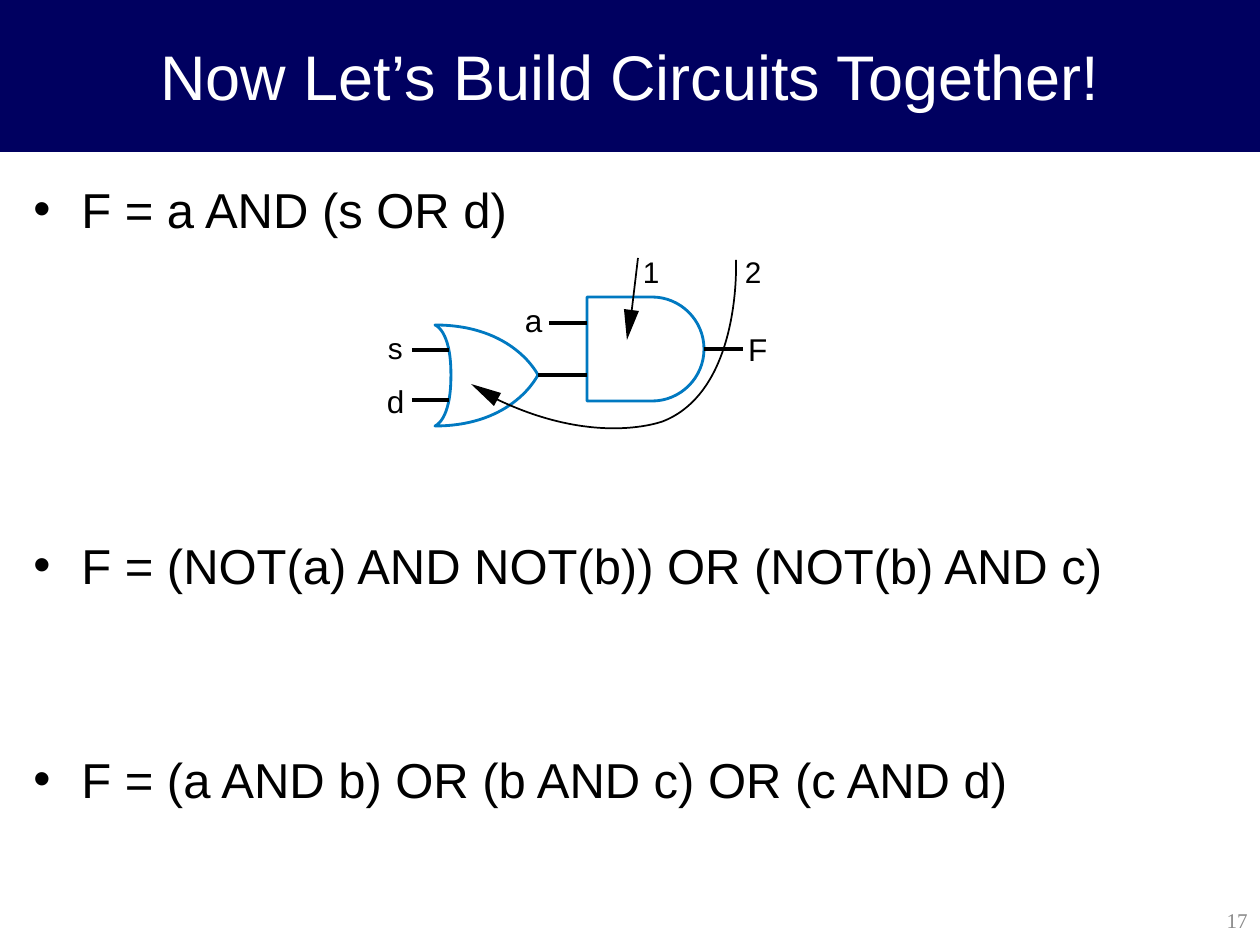
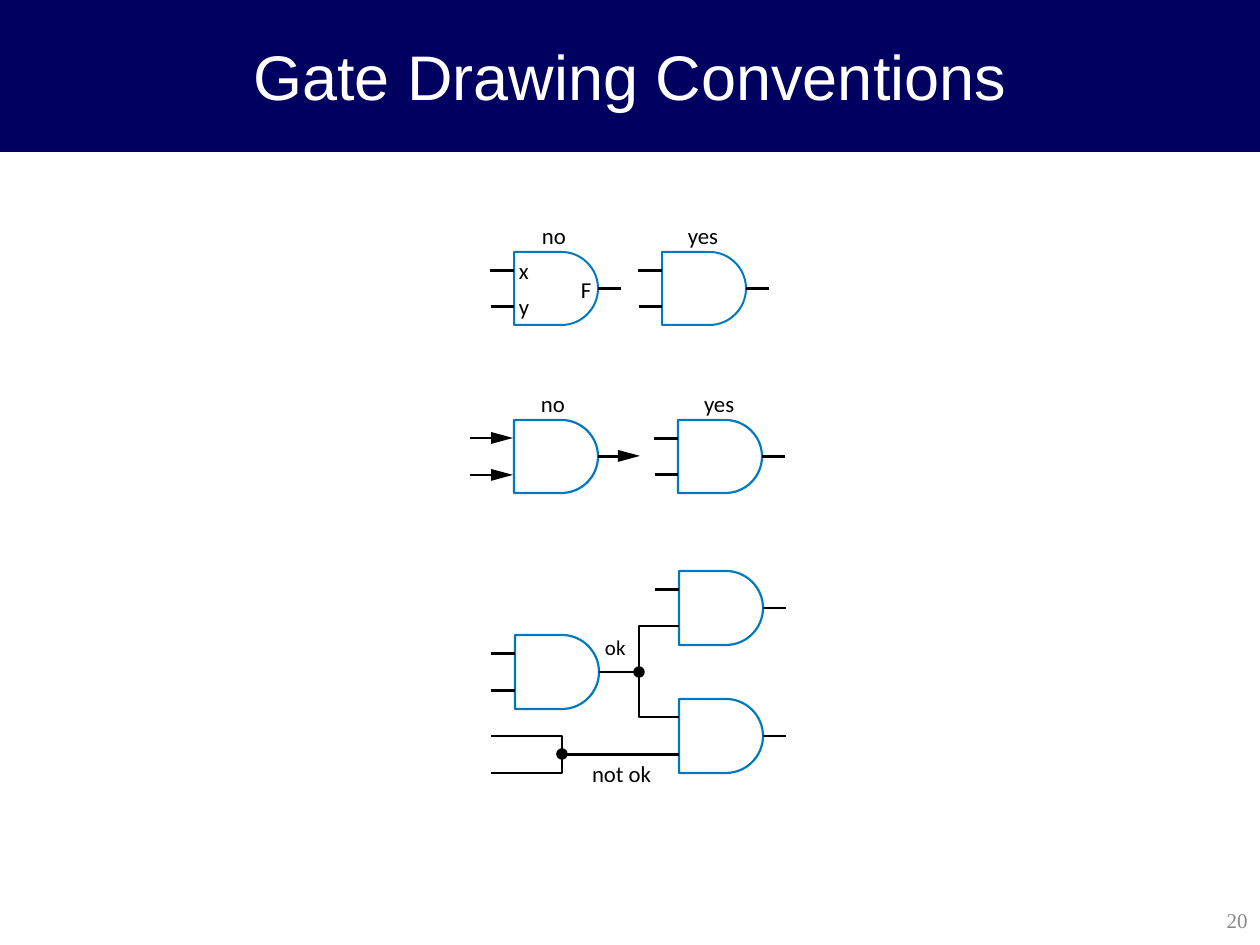
from dataclasses import dataclass

from lxml import etree
from pptx import Presentation
from pptx.dml.color import RGBColor as RGB
from pptx.enum.shapes import MSO_CONNECTOR as CONN, MSO_SHAPE as SHAPE
from pptx.enum.text import MSO_ANCHOR as ANCHOR, MSO_AUTO_SIZE as AUTO, PP_ALIGN as ALIGN
from pptx.oxml.ns import qn
from pptx.util import Pt

PX = 914400 / 126  # EMU per px


@dataclass(frozen=True)
class Theme:
    navy = RGB.from_string("000060")
    blue = RGB.from_string("0079C1")
    black = RGB.from_string("000000")
    white = RGB.from_string("FFFFFF")
    grey = RGB.from_string("898989")
    # type styles: font, size, colour
    title = ("Arial", 36, white)
    body = ("Arial", 28, black)
    number = ("Times New Roman", 12, grey)
    signal = ("Arial", 18, black)
    signal_small = ("Arial", 17, black)
    note = ("Calibri", 13, black)
    note_small = ("Calibri", 12, black)


T = Theme()


def style_text(p, style):
    for r in p.runs:
        r.font.name, r.font.size, r.font.color.rgb = style[0], Pt(style[1]), style[2]


def outline(shapes, steps, fill=None, line=None, width=1, close=True):
    """Draw a path; a step is a point (x, y) or a cubic curve (x1, y1, x2, y2, x, y)."""
    pts = [(round(step[i] * PX), round(step[i + 1] * PX))
           for step in steps for i in range(0, len(step), 2)]
    builder = shapes.build_freeform(*pts[0])
    builder.add_line_segments(pts[1:], close=close)
    sp = builder.convert_to_shape()
    segments = iter(list(sp._element.iter(qn("a:lnTo"))))
    for step in steps[1:]:
        segment = next(segments)
        if len(step) == 6:
            segment.addprevious(curve := etree.Element(qn("a:cubicBezTo")))
            for part in (segment, next(segments), next(segments)):
                curve.append(part[0])
                part.getparent().remove(part)
    sp.shadow.inherit = False
    for part, color in ((sp.fill, fill), (sp.line.fill, line)):
        if color is None:
            part.background()
        else:
            part.solid()
            part.fore_color.rgb = color
    if line is not None:
        sp.line.width = Pt(width)


slides = [
    dict(
        title="Now Let’s Build Circuits Together!",
        number="17",
        # text, space before in points
        bullets=[
            ("F = a AND (s OR d)", 0),
            ("F = (NOT(a) AND NOT(b)) OR (NOT(b) AND c)", 170),
            ("F = (a AND b) OR (b AND c) OR (c AND d)", 88.5),
        ],
        # x, y, width, height, lengths of upper input, lower input, output, wire and gate weight
        and_gates=[(587, 297, 117, 104, 38, 49, 39, 2.13, 1.62)],
        or_gates=[[
            (538, 375), (538, 375, 514, 426, 435, 426), (435, 426, 451, 421, 451, 376),
            (451, 374, 451, 374, 451, 374), (451, 330, 435, 325, 435, 325),
            (514, 325, 538, 375, 538, 375),
        ]],
        wires=[(412, 350, 449, 350, 2.13), (412, 400, 449, 400, 2.13), (638, 258, 630, 325, 1)],
        paths=[([(736, 260), (736, 260, 742, 389, 664, 421), (664, 421, 595, 449, 490, 396)], 1)],
        arrowheads=[[(471, 384), (494, 406), (501, 393)], [(627, 340), (639, 311), (624, 309)]],
        dots=[],
        # text, x, y, width, style
        labels=[
            ("a", 525, 301, 18, T.signal), ("s", 388, 330, 15, T.signal_small),
            ("d", 387, 382, 18, T.signal), ("F", 748, 330, 19, T.signal),
            ("1", 643, 254, 16, T.signal_small), ("2", 745, 254, 16, T.signal_small),
        ],
    ),
    dict(
        title="Gate Drawing Conventions",
        number="20",
        bullets=[],
        and_gates=[
            (514, 252, 84, 73, 24, 23, 23, 1.5, 1.13), (662, 252, 84, 73, 24, 23, 23, 1.5, 1.13),
            (514, 420, 84, 73, 0, 0, 23, 1.62, 1.25), (678, 420, 84, 73, 24, 23, 23, 1.62, 1.25),
            (515, 635, 84, 74, 24, 24, 0, 1.62, 1.25), (679, 571, 84, 74, 24, 0, 23, 1.62, 1.25),
            (679, 699, 84, 74, 0, 117, 23, 1.62, 1.25),
        ],
        or_gates=[],
        wires=[(470, y, 494, y, 1.62) for y in (438, 475)],
        paths=[
            ([(599, 672), (639, 672), (639, 626), (679, 626)], 1.62),
            ([(599, 672), (639, 672), (639, 717), (679, 717)], 1.62),
            ([(491, 773), (562, 773), (562, 736), (491, 736)], 1.62),
        ],
        arrowheads=[
            [(x, y), (x - 22, y - 6), (x - 22, y + 6)]
            for x, y in ((513, 438), (513, 475), (640, 456))
        ],
        dots=[(639, 672), (562, 754)],
        labels=[
            ("no", 542, 222, 28, T.note), ("yes", 688, 222, 34, T.note),
            ("x", 519, 257, 13, T.note), ("y", 519, 293, 11, T.note), ("F", 581, 276, 11, T.note),
            ("no", 541, 390, 28, T.note), ("yes", 704, 390, 34, T.note),
            ("ok", 605, 635, 24, T.note_small), ("not ok", 592, 760, 68, T.note),
        ],
    ),
]

prs = Presentation()
prs.slide_width, prs.slide_height = round(1260 * PX), round(945 * PX)

for page in slides:
    s = prs.slides.add_slide(prs.slide_layouts[5])
    shapes = s.shapes

    # Title band
    sp = shapes.title
    sp.left, sp.top, sp.width, sp.height = 0, 0, prs.slide_width, round(151 * PX)
    sp.fill.solid()
    sp.fill.fore_color.rgb = sp.line.color.rgb = T.navy
    sp.line.width = Pt(0.75)
    tf = sp.text_frame
    tf.text = page["title"]
    tf.vertical_anchor = ANCHOR.MIDDLE
    tf.paragraphs[0].alignment = ALIGN.CENTER
    style_text(tf.paragraphs[0], T.title)

    # Bulleted formulas
    if page["bullets"]:
        sp = shapes.add_textbox(*(round(v * PX) for v in (21, 173, 1217, 721)))
        tf = sp.text_frame
        tf.word_wrap = True
        for i, (text, before) in enumerate(page["bullets"]):
            p = tf.add_paragraph() if i else tf.paragraphs[0]
            p.text = text
            pPr = p._p.get_or_add_pPr()
            pPr.set("marL", str(round(48 * PX)))
            pPr.set("indent", str(round(-48 * PX)))
            etree.SubElement(pPr, qn("a:buFont")).set("typeface", "Arial")
            etree.SubElement(pPr, qn("a:buChar")).set("char", "•")
            p.space_before = Pt(before)
            style_text(p, T.body)

    # Page number
    sp = shapes.add_textbox(*(round(v * PX) for v in (993, 895, 267, 50)))
    tf = sp.text_frame
    tf.word_wrap = True
    tf.vertical_anchor = ANCHOR.MIDDLE
    tf.text = page["number"]
    tf.paragraphs[0].alignment = ALIGN.RIGHT
    style_text(tf.paragraphs[0], T.number)

    # Gates; inputs enter at one and three quarters of the height
    wires = list(page["wires"])
    for x, y, w, h, upper, lower, out, wire_pt, gate_pt in page["and_gates"]:
        radius, right, bottom = h / 2, x + w, y + h
        k = radius * 0.45
        steps = [
            (x, bottom), (right - radius, bottom),
            (right - k, bottom, right, bottom - k, right, y + radius),
            (right, y + k, right - k, y, right - radius, y), (x, y),
        ]
        outline(shapes, steps, T.white, T.blue, gate_pt)
        leads = ((x - upper, x, h / 4), (x - lower, x, h * 3 / 4), (right, right + out, h / 2))
        wires += [(x1, y + dy, x2, y + dy, wire_pt) for x1, x2, dy in leads if x1 != x2]
    for steps in page["or_gates"]:
        outline(shapes, steps, T.white, T.blue, 1.62)

    # Wires, arrowheads and junctions
    for *ends, width in wires:
        line = shapes.add_connector(CONN.STRAIGHT, *(round(v * PX) for v in ends))
        line.line.color.rgb = T.black
        line.line.width = Pt(width)
        etree.SubElement(line._element.spPr, qn("a:effectLst"))
    for steps, width in page["paths"]:
        outline(shapes, steps, line=T.black, width=width, close=False)
    for steps in page["arrowheads"]:
        outline(shapes, steps, fill=T.black)
    for x, y in page["dots"]:
        sp = shapes.add_shape(SHAPE.OVAL, *(round(v * PX) for v in (x - 5, y - 5, 10, 10)))
        sp.shadow.inherit = False
        sp.fill.solid()
        sp.fill.fore_color.rgb = sp.line.color.rgb = T.black
        sp.line.width = Pt(0.88)

    # Signal names and notes
    for text, x, y, w, style in page["labels"]:
        height = style[1] * 2.1
        sp = shapes.add_textbox(*(round(v * PX) for v in (x, y, w, height)))
        tf = sp.text_frame
        tf.margin_left = tf.margin_top = tf.margin_right = tf.margin_bottom = 0
        tf.word_wrap = False
        tf.auto_size = AUTO.SHAPE_TO_FIT_TEXT
        tf.text = text
        style_text(tf.paragraphs[0], style)

prs.save("out.pptx")
